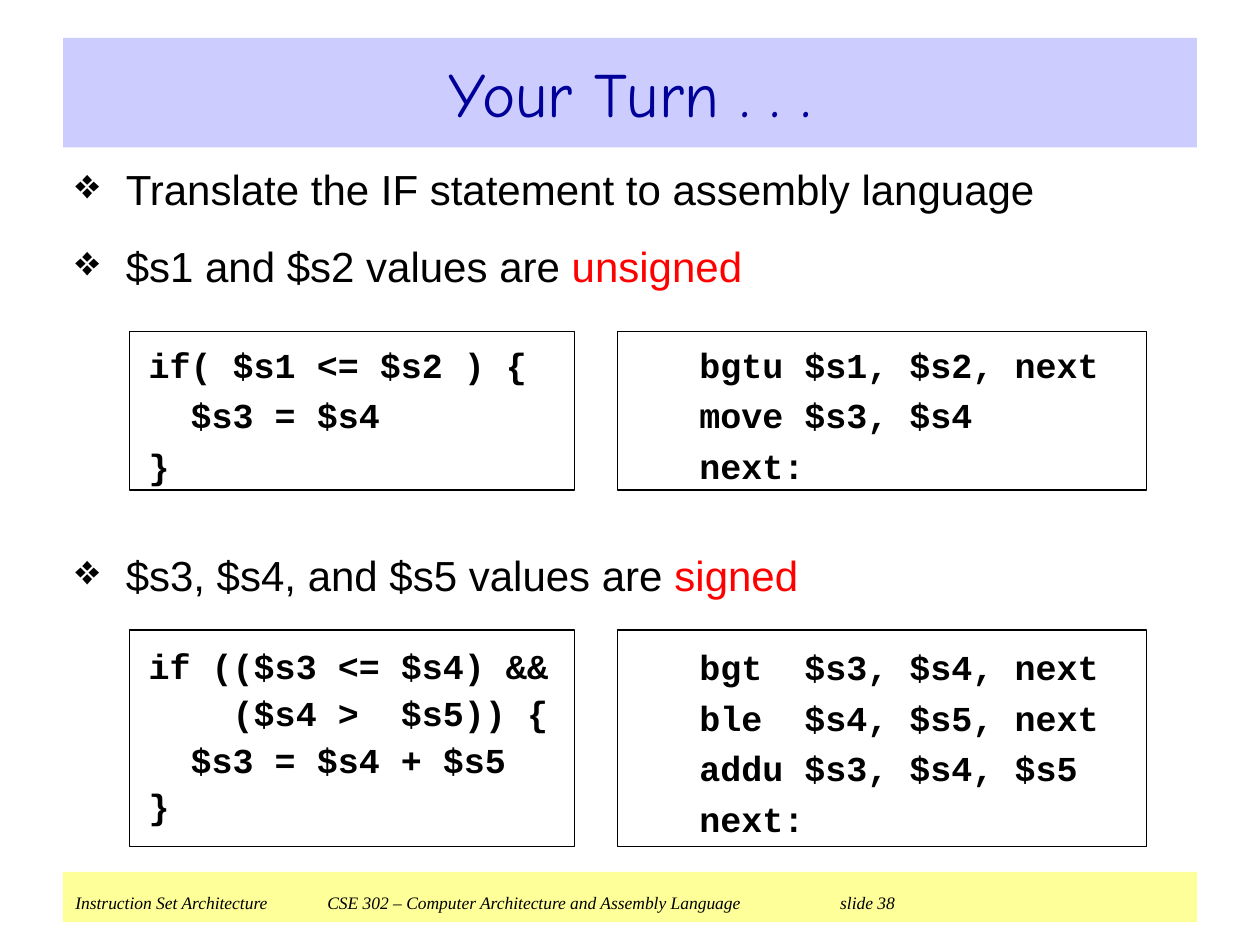
from lxml.etree import SubElement
from pptx import Presentation
from pptx.dml.color import RGBColor
from pptx.enum.shapes import MSO_SHAPE
from pptx.enum.text import MSO_ANCHOR, PP_ALIGN
from pptx.oxml.ns import qn
from pptx.util import Inches, Pt

BLACK = RGBColor(0x00, 0x00, 0x00)
RED = RGBColor(0xFF, 0x00, 0x00)
NAVY = RGBColor(0x00, 0x00, 0x99)
LAVENDER = RGBColor(0xCC, 0xCC, 0xFF)
YELLOW = RGBColor(0xFF, 0xFF, 0x99)

LEFT, WIDTH = 0.5, 9
CODE_COLUMNS = [(1.03, 3.53), (4.9, 4.2)]  # left, width
CODE_ROWS = [(2.63, 1.26), (5, 1.72)]  # top, height


def add_run(p, text, font, size, color=BLACK, bold=False, italic=False):
    r = p.add_run()
    r.text = text
    r.font.name = font
    r.font.size = Pt(size)
    r.font.bold = bold
    r.font.italic = italic
    r.font.color.rgb = color


def add_rect(s, box):
    sp = s.shapes.add_shape(MSO_SHAPE.RECTANGLE, *map(Inches, box))
    sp.shadow.inherit = False
    sp.text_frame.word_wrap = True
    return sp


def paragraphs(tf, count):
    return [tf.paragraphs[0]] + [tf.add_paragraph() for _ in range(count - 1)]


def add_title(s, box, text):
    sp = s.shapes.title
    sp.left, sp.top, sp.width, sp.height = map(Inches, box)
    sp.fill.solid()
    sp.fill.fore_color.rgb = LAVENDER
    tf = sp.text_frame
    tf.vertical_anchor = MSO_ANCHOR.MIDDLE
    p = tf.paragraphs[0]
    p.alignment = PP_ALIGN.CENTER
    add_run(p, text, "Comic Neue", 36, NAVY)


def add_bullets(s, box, items):
    """Each item is a list of (text, colour) runs."""
    tf = s.shapes.add_textbox(*map(Inches, box)).text_frame
    tf.word_wrap = True
    for i, (p, runs) in enumerate(zip(paragraphs(tf, len(items)), items)):
        p.space_before = Pt(15 if i else 0)
        pPr = p._p.get_or_add_pPr()
        pPr.set("marL", str(Inches(0.4)))
        pPr.set("indent", str(-Inches(0.4)))
        color = SubElement(pPr, qn("a:buClr"))
        SubElement(color, qn("a:srgbClr")).set("val", str(BLACK))
        SubElement(pPr, qn("a:buChar")).set("char", "❖")
        for text, run_color in runs:
            add_run(p, text, "Arial", 24, run_color)


def add_code(s, box, lines, indent=0, spacing=1.2, before=0):
    sp = add_rect(s, box)
    sp.fill.background()
    sp.line.color.rgb = BLACK
    sp.line.width = Pt(0.75)
    tf = sp.text_frame
    tf.vertical_anchor = MSO_ANCHOR.MIDDLE
    tf.margin_left = tf.margin_right = Inches(0.15)
    tf.margin_top = tf.margin_bottom = 0
    for i, (p, line) in enumerate(zip(paragraphs(tf, len(lines)), lines)):
        p.alignment = PP_ALIGN.LEFT
        p.line_spacing = spacing
        p.space_before = Pt(before if i else 0)
        p._p.get_or_add_pPr().set("marL", str(Inches(indent)))
        add_run(p, line, "Courier New", 20, bold=True)


def add_footer(s, box, texts, tabs):
    sp = add_rect(s, box)
    sp.fill.solid()
    sp.fill.fore_color.rgb = YELLOW
    sp.line.fill.background()
    tf = sp.text_frame
    tf.vertical_anchor = MSO_ANCHOR.BOTTOM
    tf.margin_bottom = Inches(0.07)
    p = tf.paragraphs[0]
    p.alignment = PP_ALIGN.LEFT
    tab_list = SubElement(p._p.get_or_add_pPr(), qn("a:tabLst"))
    for pos in tabs:
        tab = SubElement(tab_list, qn("a:tab"))
        tab.set("pos", str(Inches(pos)))
        tab.set("algn", "l")
    add_run(p, "\t".join(texts), "Times New Roman", 10, italic=True)


def main():
    prs = Presentation()
    prs.slide_width, prs.slide_height = Inches(10), Inches(7.5)
    s = prs.slides.add_slide(prs.slide_layouts[5])

    add_title(s, (LEFT, 0.3, WIDTH, 0.87), "Your Turn . . .")
    add_footer(s, (LEFT, 6.92, WIDTH, 0.4),
               ["Instruction Set Architecture",
                "CSE 302 – Computer Architecture and Assembly Language",
                "slide 38"], tabs=[2, 6.07])

    # Task and the two exercises
    add_bullets(s, (LEFT, 1.25, WIDTH, 1.2), [
        [("Translate the IF statement to assembly language", BLACK)],
        [("$s1 and $s2 values are ", BLACK), ("unsigned", RED)],
    ])
    add_bullets(s, (LEFT, 4.31, WIDTH, 0.55), [
        [("$s3, $s4, and $s5 values are", BLACK), (" signed", RED)],
    ])

    # Source code on the left, assembly on the right
    (unsigned_c, unsigned_asm), (signed_c, signed_asm) = [
        [(left, top, width, height) for left, width in CODE_COLUMNS]
        for top, height in CODE_ROWS
    ]
    add_code(s, unsigned_c, ["if( $s1 <= $s2 ) {", "  $s3 = $s4", "}"])
    add_code(s, unsigned_asm,
             ["bgtu $s1, $s2, next", "move $s3, $s4", "next:"], indent=0.5)
    add_code(s, signed_c,
             ["if (($s3 <= $s4) &&", "    ($s4 >  $s5)) {",
              "  $s3 = $s4 + $s5", "}"], spacing=0.9, before=5)
    add_code(s, signed_asm,
             ["bgt  $s3, $s4, next", "ble  $s4, $s5, next",
              "addu $s3, $s4, $s5", "next:"], indent=0.5)

    prs.save("out.pptx")


if __name__ == "__main__":
    main()
